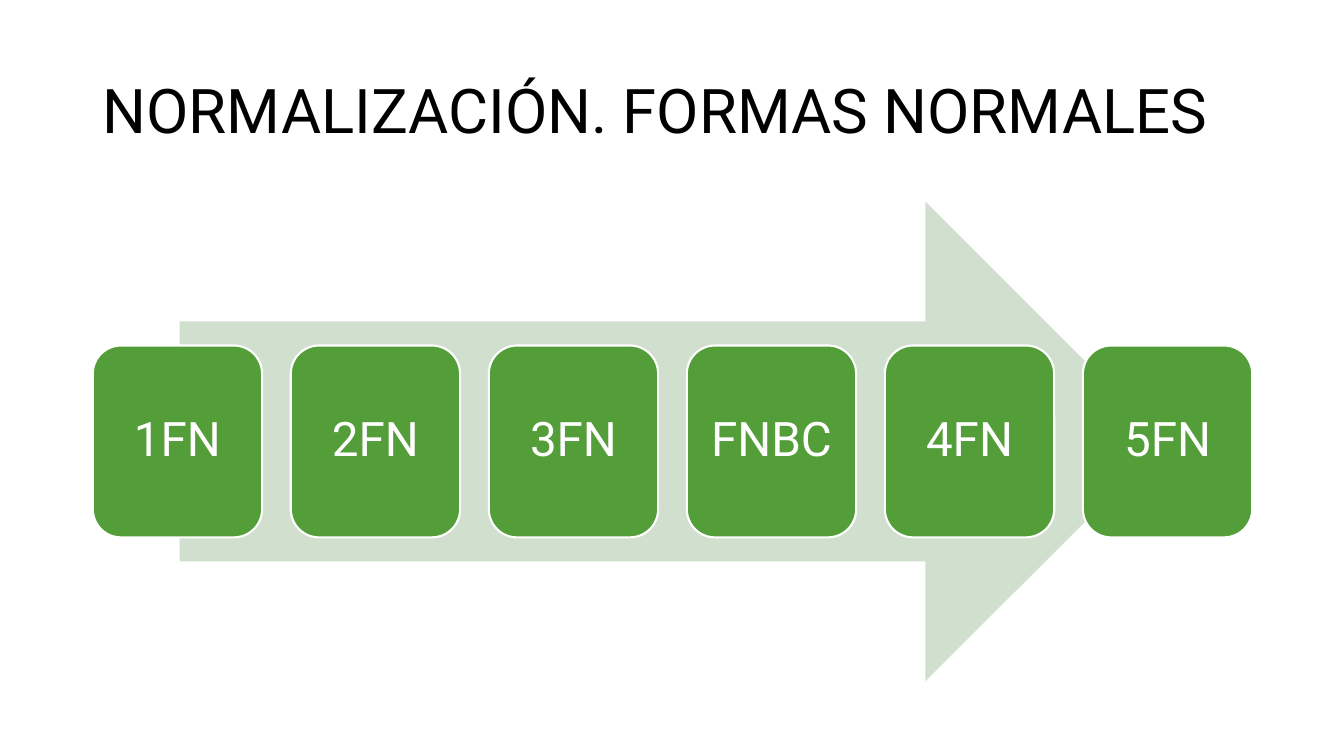
from pptx import Presentation
from pptx.dml.color import RGBColor
from pptx.enum.shapes import MSO_SHAPE as Shape
from pptx.enum.text import MSO_ANCHOR as Anchor, PP_ALIGN as Align
from pptx.util import Inches, Pt

BLACK = RGBColor(0x00, 0x00, 0x00)
WHITE = RGBColor(0xFF, 0xFF, 0xFF)
GREEN = RGBColor(0x54, 0x9E, 0x39)
PALE_GREEN = RGBColor(0xD1, 0xDF, 0xCE)
FONT = "Roboto"
NORMAL_FORMS = ["1FN", "2FN", "3FN", "FNBC", "4FN", "5FN"]


def write_text(shape, text, size, color, align):
    """Put one vertically centred line of text in a shape."""
    frame = shape.text_frame
    frame.word_wrap = True
    frame.vertical_anchor = Anchor.MIDDLE
    frame.text = text
    paragraph = frame.paragraphs[0]
    paragraph.alignment = align
    paragraph.line_spacing = 0.9
    font = paragraph.runs[0].font
    font.name = FONT
    font.size = Pt(size)
    font.color.rgb = color


def add_title(slide, text, left, top, width, height):
    """Add the slide title in the given box."""
    box = slide.shapes.add_textbox(Inches(left), Inches(top), Inches(width), Inches(height))
    write_text(box, text, 44, BLACK, Align.LEFT)


def add_filled_shape(slide, kind, color, left, top, width, height):
    """Add a flat preset shape with a solid fill and no line."""
    shape = slide.shapes.add_shape(kind, Inches(left), Inches(top), Inches(width), Inches(height))
    shape.shadow.inherit = False
    shape.fill.solid()
    shape.fill.fore_color.rgb = color
    shape.line.fill.background()
    return shape


def add_process(slide, steps, left, top, width, height):
    """Draw a wide arrow with evenly spaced step cards across it."""
    arrow_width = width * 0.85
    add_filled_shape(slide, Shape.RIGHT_ARROW, PALE_GREEN,
                     left + (width - arrow_width) / 2, top, arrow_width, height)
    card_width, card_height = 1.68, height * 0.4
    pitch = (width - card_width) / (len(steps) - 1)
    card_top = top + (height - card_height) / 2
    for index, step in enumerate(steps):
        card = add_filled_shape(slide, Shape.ROUNDED_RECTANGLE, GREEN,
                                left + index * pitch, card_top, card_width, card_height)
        card.line.color.rgb = WHITE
        card.line.width = Pt(1.5)
        card.text_frame.margin_left = card.text_frame.margin_right = Inches(0.05)
        write_text(card, step, 34, WHITE, Align.CENTER)


def main():
    """Build and save the slide."""
    presentation = Presentation()
    presentation.slide_width = Inches(13.33)
    presentation.slide_height = Inches(7.5)
    slide = presentation.slides.add_slide(presentation.slide_layouts[6])
    add_title(slide, "NORMALIZACIÓN. FORMAS NORMALES", 0.92, 0.4, 11.5, 1.45)
    add_process(slide, NORMAL_FORMS, 0.92, 2, 11.5, 4.76)
    presentation.save("out.pptx")


if __name__ == "__main__":
    main()
